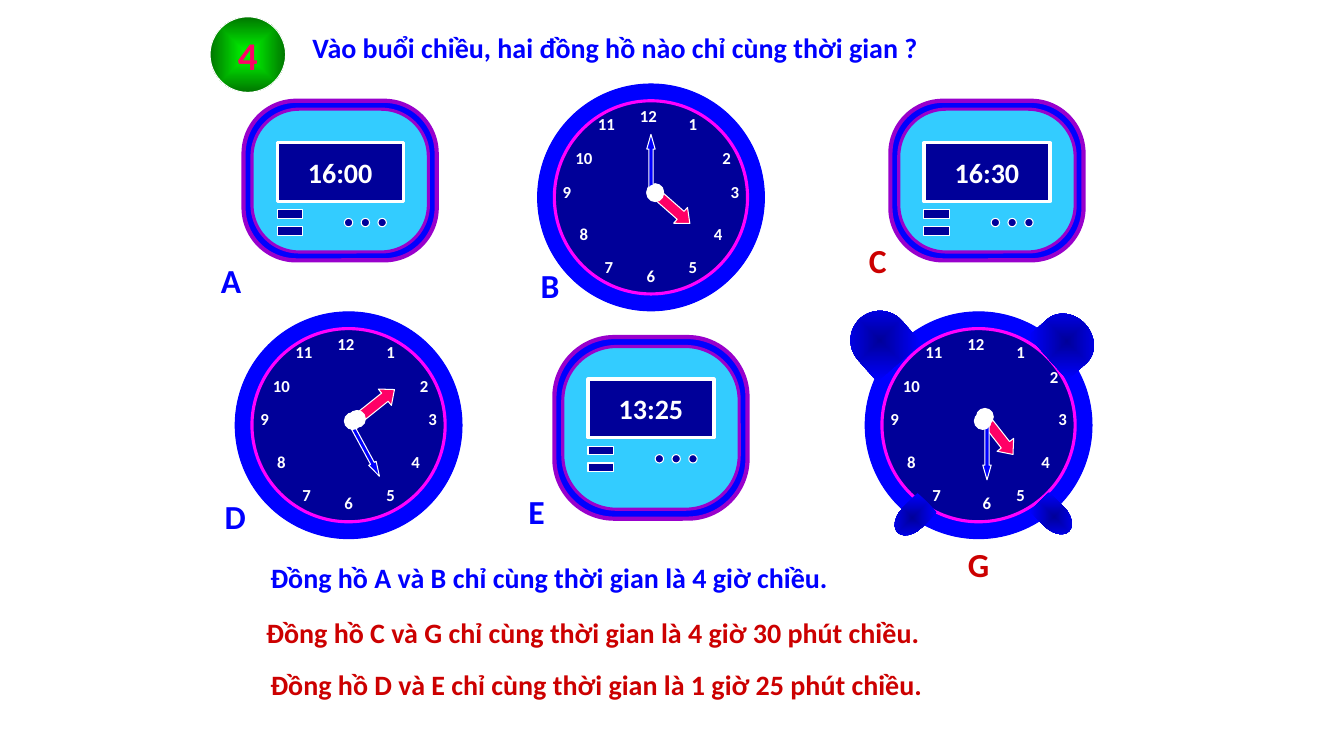
from dataclasses import dataclass, field
from typing import NamedTuple, Union

from lxml import etree
from pptx import Presentation
from pptx.dml.color import RGBColor
from pptx.enum.shapes import MSO_SHAPE
from pptx.enum.text import MSO_ANCHOR, MSO_AUTO_SIZE, PP_ALIGN
from pptx.oxml.ns import qn
from pptx.shapes.autoshape import Shape
from pptx.shapes.shapetree import GroupShapes, SlideShapes
from pptx.util import Emu, Pt

RECT, ROUND_RECT = MSO_SHAPE.RECTANGLE, MSO_SHAPE.ROUNDED_RECTANGLE
OVAL, ARROW, DELAY = MSO_SHAPE.OVAL, MSO_SHAPE.RIGHT_ARROW, MSO_SHAPE.FLOWCHART_DELAY
LEFT, CENTER = PP_ALIGN.LEFT, PP_ALIGN.CENTER
TOP, MIDDLE = MSO_ANCHOR.TOP, MSO_ANCHOR.MIDDLE
NO_FIT = MSO_AUTO_SIZE.NONE
EMU_PER_PX = 9525
TITLE_ONLY = 5

Shapes = Union[SlideShapes, GroupShapes]


@dataclass(frozen=True)
class Theme:
    font: str = "Calibri"
    blue: str = "0000FF"
    navy: str = "000099"
    sky: str = "33CCFF"
    purple: str = "9900CC"
    magenta: str = "FF00FF"
    pink: str = "FF0066"
    red: str = "CC0000"
    white: str = "FFFFFF"
    bright_green: str = "00FF00"
    dark_green: str = "007600"
    numeral_size: int = 12
    body_size: int = 20
    letter_size: int = 24
    badge_size: int = 28
    thin: float = 0.75
    medium: float = 2.25
    thick: float = 3


THEME = Theme()


class Box(NamedTuple):
    left: int
    top: int
    width: int
    height: int


class Label(NamedTuple):
    text: str
    box: Box
    color: str


class Numeral(NamedTuple):
    text: str
    left: int
    top: int
    align: PP_ALIGN = CENTER


class Hand(NamedTuple):
    left: int
    top: int
    angle: float


class Knob(NamedTuple):
    box: Box
    angle: float
    flipped: bool


@dataclass(frozen=True)
class DigitalClock:
    time: str
    box: Box


@dataclass(frozen=True)
class DialClock:
    left: int
    top: int
    hour: Hand
    hour_hub: tuple[int, int]
    minute: Hand
    moved: dict[str, tuple[int, int]] = field(default_factory=dict)


NUMERALS = [
    Numeral("12", 88, 16, LEFT), Numeral("1", 128, 24), Numeral("2", 160, 56),
    Numeral("3", 168, 88), Numeral("4", 152, 128), Numeral("5", 128, 160),
    Numeral("6", 88, 168), Numeral("7", 48, 160), Numeral("8", 24, 128),
    Numeral("9", 8, 88), Numeral("10", 24, 56), Numeral("11", 48, 24, LEFT),
]
DIGITAL_CLOCKS = [
    DigitalClock("16:00", Box(232, 96, 184, 152)),
    DigitalClock("16:30", Box(848, 96, 184, 152)),
    DigitalClock("13:25", Box(528, 321, 184, 173)),
]
DIAL_CLOCKS = [
    DialClock(512, 80, Hand(103, 107, 41.3), (104, 95), Hand(80, 72, 270)),
    DialClock(824, 297, Hand(102, 107, 52), (106, 92), Hand(88, 128, 90),
              {"2": (160, 48), "6": (96, 168)}),
    DialClock(224, 297, Hand(109, 79, 321.4), (108, 94), Hand(96, 128, 61.5)),
]
ALARM_KNOBS = [
    Knob(Box(992, 297, 48, 56), 318.4, False),
    Knob(Box(810, 296, 56, 56), 228.8, False),
    Knob(Box(849, 480, 40, 26), 314.9, True),
    Knob(Box(984, 479, 40, 26), 224.9, True),
]
QUESTION = Label("Vào buổi chiều, hai đồng hồ nào chỉ cùng thời gian ?",
                 Box(288, 24, 792, 42), THEME.blue)
LETTERS = [
    Label("A", Box(200, 243, 40, 49), THEME.blue),
    Label("B", Box(504, 248, 40, 49), THEME.blue),
    Label("C", Box(816, 224, 40, 49), THEME.red),
    Label("D", Box(204, 468, 40, 49), THEME.blue),
    Label("E", Box(491, 463, 40, 49), THEME.blue),
    Label("G", Box(912, 513, 40, 49), THEME.red),
]
ANSWERS = [
    Label("Đồng hồ A và B chỉ cùng thời gian là 4 giờ chiều.",
          Box(248, 529, 664, 42), THEME.blue),
    Label("Đồng hồ C và G chỉ cùng thời gian là 4 giờ 30 phút chiều.",
          Box(244, 581, 744, 42), THEME.red),
    Label("Đồng hồ D và E chỉ cùng thời gian là 1 giờ 25 phút chiều.",
          Box(248, 631, 744, 42), THEME.red),
]


def px(count: int) -> Emu:
    return Emu(count * EMU_PER_PX)


def write(shape: Shape, text: str, size: int, color: str, align: PP_ALIGN,
          anchor: MSO_ANCHOR = TOP, wrap: bool = True) -> None:
    frame = shape.text_frame
    frame.auto_size, frame.word_wrap, frame.vertical_anchor = NO_FIT, wrap, anchor
    para = frame.paragraphs[0]
    para.alignment = align
    span = para.add_run()
    span.text = text
    span.font.name, span.font.size, span.font.bold = THEME.font, Pt(size), True
    span.font.color.rgb = RGBColor.from_string(color)


def add_label(shapes: Shapes, label: Label, size: int, align: PP_ALIGN) -> None:
    box = shapes.add_textbox(*map(px, label.box))
    write(box, label.text, size, label.color, align)


def add_form(shapes: Shapes, kind: MSO_SHAPE, box: Box, fill: str = "", line: str = "",
             weight: float = THEME.thin, angle: float = 0,
             adjust: tuple[float, ...] = ()) -> Shape:
    shape = shapes.add_shape(kind, *map(px, box))
    shape.shadow.inherit = False
    shape.rotation = angle
    for index, value in enumerate(adjust):
        shape.adjustments[index] = value
    if fill:
        shape.fill.solid()
        shape.fill.fore_color.rgb = RGBColor.from_string(fill)
    if line:
        shape.line.color.rgb = RGBColor.from_string(line)
        shape.line.width = Pt(weight)
    else:
        shape.line.fill.background()
    return shape


def glow_from_center(shape: Shape, inner: str, outer: str) -> None:
    """Fill the shape with a gradient that follows its outline."""
    shape.fill.gradient()
    for stop, color in zip(shape.fill.gradient_stops, (inner, outer)):
        stop.color.rgb = RGBColor.from_string(color)
    gradient = shape.element.spPr.find(qn("a:gradFill"))
    gradient.remove(gradient.find(qn("a:lin")))
    route = etree.SubElement(gradient, qn("a:path"), {"path": "shape"})
    etree.SubElement(route, qn("a:fillToRect"), dict.fromkeys("ltrb", "50000"))


def add_digital_clock(page_shapes: Shapes, clock: DigitalClock) -> None:
    shapes = page_shapes.add_group_shape().shapes
    left, top, width, height = clock.box
    rim = height // 18
    inner = Box(left + 8, top + rim, width - 16, height - 2 * rim)
    add_form(shapes, ROUND_RECT, clock.box, THEME.blue, THEME.purple, THEME.thick, adjust=(0.33,))
    add_form(shapes, ROUND_RECT, inner, THEME.sky, THEME.purple, THEME.medium, adjust=(0.33,))
    screen = add_form(shapes, RECT, Box(left + 32, top + 40, 120, 56),
                      THEME.navy, THEME.white, THEME.medium)
    write(screen, clock.time, THEME.body_size, THEME.white, CENTER, MIDDLE, wrap=False)
    dots = [(OVAL, Box(left + 96 + 16 * step, top + 112, 8, 8)) for step in range(3)]
    bars = [(RECT, Box(left + 32, top + 104 + 16 * step, 24, 8)) for step in range(2)]
    for kind, box in dots + bars:
        add_form(shapes, kind, box, THEME.navy, THEME.white)


def add_dial_clock(page_shapes: Shapes, clock: DialClock) -> None:
    shapes = page_shapes.add_group_shape().shapes

    def place(left: int, top: int, width: int, height: int) -> Box:
        return Box(clock.left + left, clock.top + top, width, height)

    add_form(shapes, OVAL, place(0, 0, 216, 216), THEME.blue, THEME.blue)
    add_form(shapes, OVAL, place(16, 16, 184, 184), THEME.navy, THEME.magenta, THEME.medium)
    for numeral in NUMERALS:
        spot = clock.moved.get(numeral.text, (numeral.left, numeral.top))
        label = Label(numeral.text, place(*spot, 40, 29), THEME.white)
        add_label(shapes, label, THEME.numeral_size, numeral.align)
    hands = [(clock.hour, 48, 20, THEME.pink, 0.585, clock.hour_hub),
             (clock.minute, 56, 8, THEME.blue, 1.75, (104, 96))]
    for hand, length, breadth, color, head, hub in hands:
        add_form(shapes, ARROW, place(hand.left, hand.top, length, breadth), color,
                 THEME.white, angle=hand.angle, adjust=(0.5, head))
        add_form(shapes, OVAL, place(*hub, 16, 16), THEME.white, THEME.white)


def add_knob(shapes: Shapes, knob: Knob) -> None:
    shape = add_form(shapes, DELAY, knob.box, angle=knob.angle)
    glow_from_center(shape, THEME.navy, THEME.blue)
    if knob.flipped:
        frame = shape.element.spPr.find(qn("a:xfrm"))
        frame.set("flipH", "1")
        frame.set("flipV", "1")


def main() -> None:
    deck = Presentation()
    deck.slide_width, deck.slide_height = px(1280), px(720)
    page = deck.slides.add_slide(deck.slide_layouts[TITLE_ONLY])
    title = page.shapes.title
    title.left, title.top, title.width, title.height = map(px, QUESTION.box)
    write(title, QUESTION.text, THEME.body_size, QUESTION.color, LEFT)
    badge = add_form(page.shapes, OVAL, Box(200, 16, 72, 72), line=THEME.white)
    glow_from_center(badge, THEME.bright_green, THEME.dark_green)
    write(badge, "4", THEME.badge_size, THEME.pink, CENTER, MIDDLE, wrap=False)
    for digital in DIGITAL_CLOCKS:
        add_digital_clock(page.shapes, digital)
    for dial in DIAL_CLOCKS:
        add_dial_clock(page.shapes, dial)
    for knob in ALARM_KNOBS:
        add_knob(page.shapes, knob)
    for letter in LETTERS:
        add_label(page.shapes, letter, THEME.letter_size, CENTER)
    for answer in ANSWERS:
        add_label(page.shapes, answer, THEME.body_size, LEFT)
    deck.save("out.pptx")


if __name__ == "__main__":
    main()
